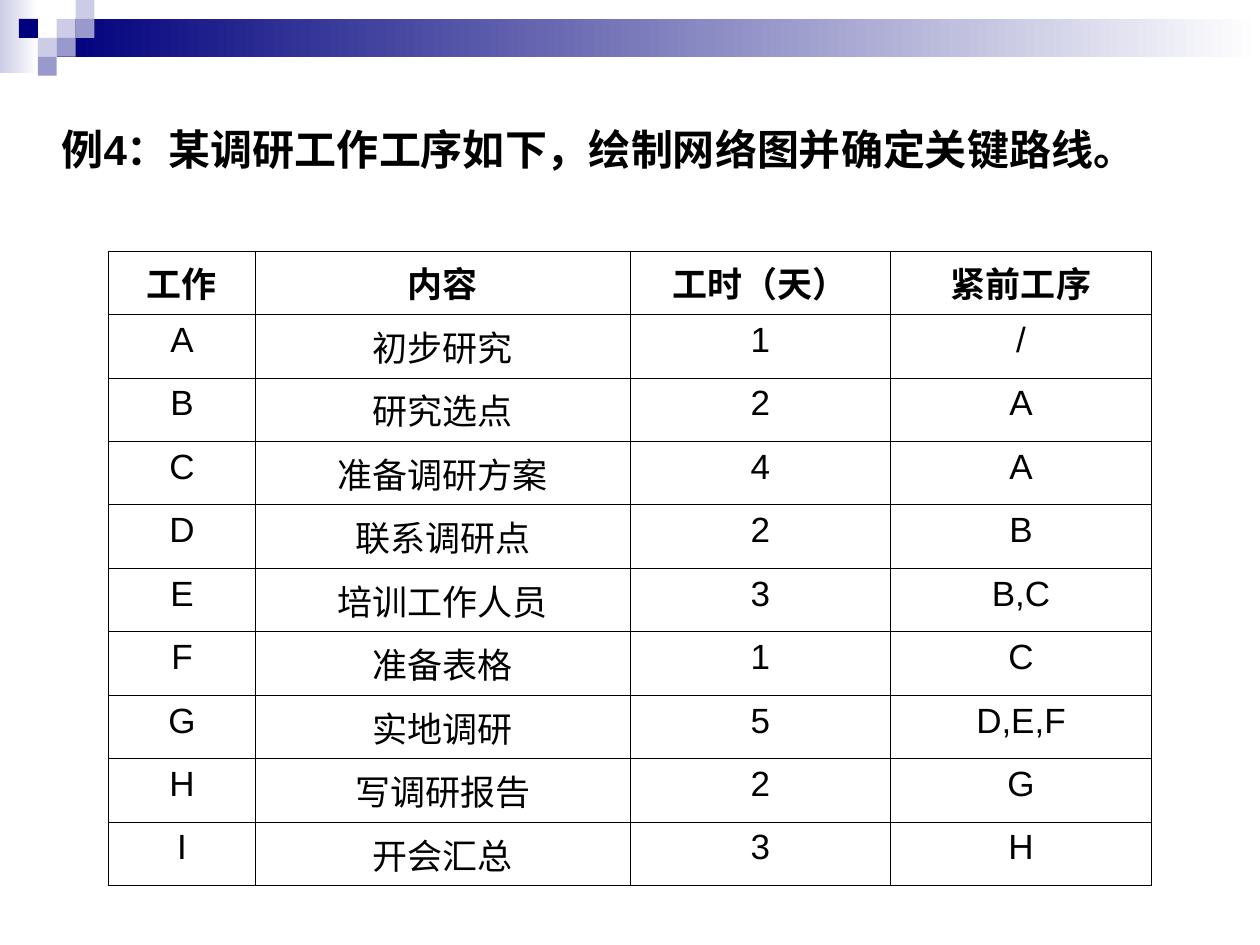
from lxml.etree import SubElement
from pptx import Presentation
from pptx.dml.color import RGBColor
from pptx.enum.shapes import MSO_SHAPE
from pptx.enum.text import MSO_ANCHOR, MSO_AUTO_SIZE, PP_ALIGN
from pptx.oxml.ns import qn
from pptx.util import Pt

COLORS = {"navy": "00007D", "violet": "9999CC", "lavender": "CCCCE6",
          "white": "FFFFFF", "black": "000000"}
FONT = "Arial"
TITLE = "例4：某调研工作工序如下，绘制网络图并确定关键路线。"
ROWS = [
    ("工作", "内容", "工时（天）", "紧前工序"),
    ("A", "初步研究", "1", "/"),
    ("B", "研究选点", "2", "A"),
    ("C", "准备调研方案", "4", "A"),
    ("D", "联系调研点", "2", "B"),
    ("E", "培训工作人员", "3", "B,C"),
    ("F", "准备表格", "1", "C"),
    ("G", "实地调研", "5", "D,E,F"),
    ("H", "写调研报告", "2", "G"),
    ("I", "开会汇总", "3", "H"),
]
COLUMN_SHARES = (84, 214, 149, 149)
MOSAIC = [(3, 1, "lavender"), (4, 0, "lavender"), (4, 1, "violet"), (2, 2, "lavender"),
          (1, 1, "navy"), (3, 2, "violet"), (2, 3, "violet")]


def color(name):
    """Return the named palette color."""
    return RGBColor.from_string(COLORS[name])


def apply_format(target, values):
    """Set each attribute in values on the target."""
    for name, value in values.items():
        setattr(target, name, value)


def style_text(paragraph, size, bold, **layout):
    """Format a paragraph and its font."""
    apply_format(paragraph, layout)
    apply_format(paragraph.font, {"name": FONT, "size": Pt(size), "bold": bold})
    paragraph.font.color.rgb = color("black")


def add_block(slide, box, *names):
    """Add a rectangle with one color, or a horizontal gradient of two."""
    shape = slide.shapes.add_shape(MSO_SHAPE.RECTANGLE, *map(Pt, box))
    shape.shadow.inherit = False
    shape.line.fill.background()
    if len(names) == 1:
        shape.fill.solid()
        shape.fill.fore_color.rgb = color(names[0])
    else:
        shape.fill.gradient()
        shape.fill.gradient_angle = 0
        for stop, name in zip(shape.fill.gradient_stops, names):
            stop.color.rgb = color(name)


def add_banner(slide, box):
    """Add the top band: two gradients and a mosaic of squares."""
    left, top, width, height = box
    unit = height / 4
    add_block(slide, (left, top, 2 * unit, height - 1.4), "lavender", "white")
    add_block(slide, (left + 3 * unit, top + unit, width - 3 * unit, 2 * unit), "navy", "white")
    for column, row, name in MOSAIC:
        add_block(slide, (left + column * unit, top + row * unit, unit, unit), name)


def place_title(slide, box):
    """Move the title placeholder to the box and fill it."""
    title = slide.shapes.title
    apply_format(title, dict(zip(("left", "top", "width", "height"), map(Pt, box))))
    frame = title.text_frame
    frame.text = TITLE
    apply_format(frame, {"word_wrap": True, "auto_size": MSO_AUTO_SIZE.NONE,
                         "vertical_anchor": MSO_ANCHOR.TOP})
    paragraph = frame.paragraphs[0]
    style_text(paragraph, 24, True, alignment=PP_ALIGN.LEFT,
               space_before=Pt(6), space_after=Pt(9))
    properties = paragraph._p.get_or_add_pPr()
    properties.set("marL", str(Pt(27)))
    properties.set("indent", str(Pt(-27)))


def add_borders(cell):
    """Draw a thin black line on all four sides of a cell."""
    properties = cell._tc.get_or_add_tcPr()
    for index, side in enumerate(("lnL", "lnR", "lnT", "lnB")):
        line = SubElement(properties, qn(f"a:{side}"), w=str(Pt(0.45)))
        fill = SubElement(line, qn("a:solidFill"))
        SubElement(fill, qn("a:srgbClr"), val=COLORS["black"])
        properties.insert(index, line)


def add_task_table(slide, box):
    """Add the table of tasks, durations and predecessors."""
    left, top, width, height = box
    table = slide.shapes.add_table(len(ROWS), len(COLUMN_SHARES), *map(Pt, box)).table
    apply_format(table, {"first_row": False, "horz_banding": False})
    for column, share in zip(table.columns, COLUMN_SHARES):
        column.width = Pt(width * share / sum(COLUMN_SHARES))
    for row_index, (row, texts) in enumerate(zip(table.rows, ROWS)):
        row.height = Pt(height / len(ROWS))
        for cell, text in zip(row.cells, texts):
            cell.text = text
            cell.fill.solid()
            cell.fill.fore_color.rgb = color("white")
            style_text(cell.text_frame.paragraphs[0], 20, row_index == 0,
                       alignment=PP_ALIGN.CENTER)
            add_borders(cell)


def main():
    """Build the slide and save it."""
    presentation = Presentation()
    apply_format(presentation, {"slide_width": Pt(720), "slide_height": Pt(540)})
    slide = presentation.slides.add_slide(presentation.slide_layouts.get_by_name("Title Only"))
    add_banner(slide, (0, 0, 720, 43.2))
    place_title(slide, (28, 67, 664, 51))
    add_task_table(slide, (62, 143.4, 596, 312))
    presentation.save("out.pptx")


if __name__ == "__main__":
    main()
